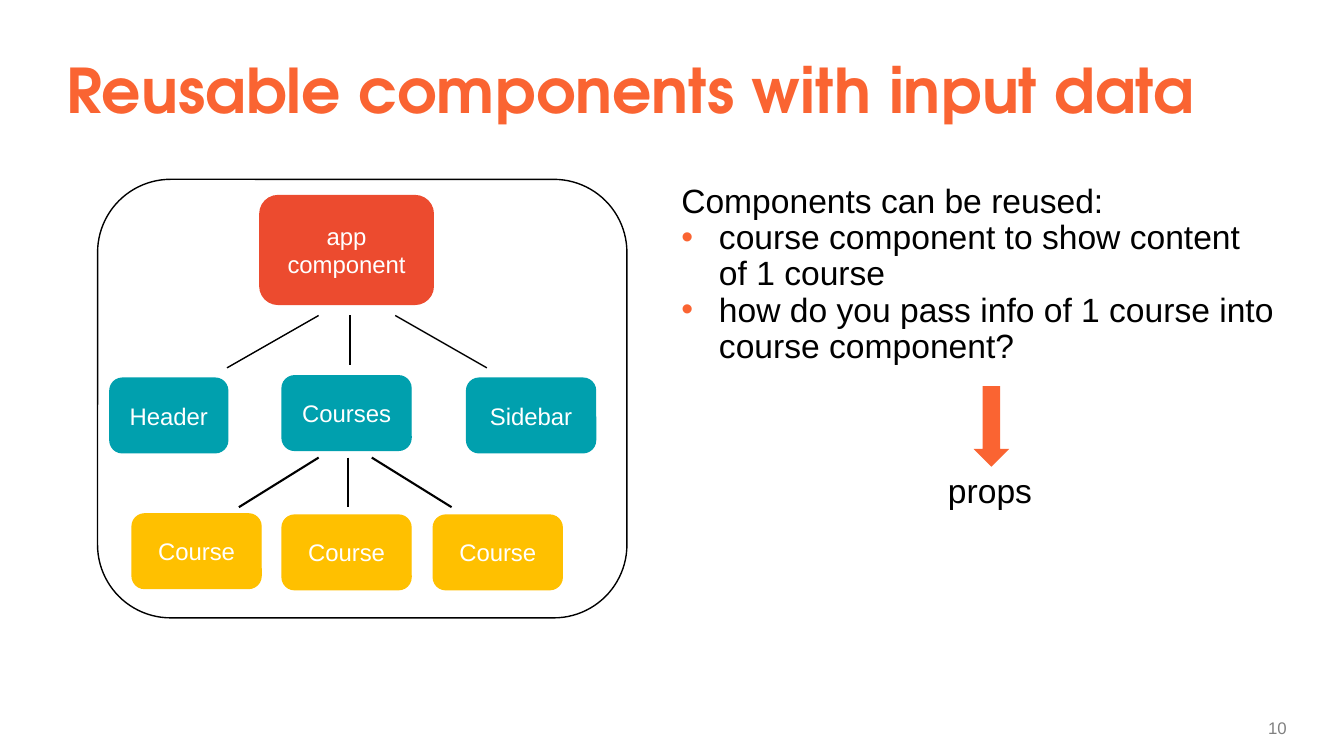
from lxml.etree import SubElement
from pptx import Presentation
from pptx.dml.color import RGBColor
from pptx.enum.shapes import MSO_CONNECTOR, MSO_SHAPE
from pptx.enum.text import MSO_ANCHOR, PP_ALIGN
from pptx.oxml.ns import qn
from pptx.util import Cm, Pt

ORANGE = RGBColor(0xFA, 0x64, 0x32)
RED = RGBColor(0xEC, 0x4B, 0x2F)
TEAL = RGBColor(0x00, 0xA0, 0xAE)
YELLOW = RGBColor(0xFF, 0xC0, 0x00)
GRAY = RGBColor(0x80, 0x80, 0x80)
BLACK = RGBColor(0x00, 0x00, 0x00)
WHITE = RGBColor(0xFF, 0xFF, 0xFF)


class SlideBuilder:
    title_font = "TeX Gyre Adventor"
    body_font = "Arial"
    bullet_indent = Cm(0.95)

    def __init__(self, page):
        self.page = page

    def style(self, para, size, color, name=body_font, bold=False):
        para.font.name = name
        para.font.size = Pt(size)
        para.font.bold = bold
        para.font.color.rgb = color

    def bullet(self, para):
        properties = para._p.get_or_add_pPr()
        properties.set("marL", str(self.bullet_indent))
        properties.set("indent", str(-self.bullet_indent))
        bullet_color = SubElement(properties, qn("a:buClr"))
        SubElement(bullet_color, qn("a:srgbClr"), val=str(ORANGE))
        SubElement(properties, qn("a:buFont"), typeface=self.body_font)
        SubElement(properties, qn("a:buChar"), char="•")

    def text(self, left, top, width, height, lines, size, color, name=body_font,
             bold=False, align=PP_ALIGN.LEFT, anchor=MSO_ANCHOR.TOP, spacing=0.9):
        """Each line is a pair: the wording and whether it has a bullet."""
        box = self.page.shapes.add_textbox(Cm(left), Cm(top), Cm(width), Cm(height))
        frame = box.text_frame
        frame.word_wrap = True
        frame.vertical_anchor = anchor
        for index, (wording, bulleted) in enumerate(lines):
            para = frame.add_paragraph() if index else frame.paragraphs[0]
            para.text = wording
            para.alignment = align
            para.line_spacing = spacing
            if bulleted:
                self.bullet(para)
            self.style(para, size, color, name, bold)
        return box

    def shape(self, kind, left, top, width, height, fill=None, line=None):
        box = self.page.shapes.add_shape(kind, Cm(left), Cm(top), Cm(width), Cm(height))
        box.shadow.inherit = False
        if fill is None:
            box.fill.background()
        else:
            box.fill.solid()
            box.fill.fore_color.rgb = fill
        if line is None:
            box.line.fill.background()
        else:
            box.line.color.rgb = line
            box.line.width = Pt(1)
        return box

    def component(self, label, left, top, color, width=3.25, height=1.88):
        box = self.shape(MSO_SHAPE.ROUNDED_RECTANGLE, left, top, width, height, color, color)
        box.text_frame.word_wrap = True
        box.text_frame.vertical_anchor = MSO_ANCHOR.MIDDLE
        para = box.text_frame.paragraphs[0]
        para.text = label
        para.alignment = PP_ALIGN.CENTER
        para.space_after = Pt(6)
        self.style(para, 17.1, WHITE)

    def branch(self, start_x, start_y, end_x, end_y, weight):
        line = self.page.shapes.add_connector(
            MSO_CONNECTOR.STRAIGHT, Cm(start_x), Cm(start_y), Cm(end_x), Cm(end_y))
        line.line.color.rgb = BLACK
        line.line.width = Pt(weight)
        SubElement(line._element.spPr, qn("a:effectLst"))


def main():
    deck = Presentation()
    deck.slide_width, deck.slide_height = Cm(33.87), Cm(19.05)
    builder = SlideBuilder(deck.slides.add_slide(deck.slide_layouts[6]))

    # Title and page number
    builder.text(1.42, 0.84, 30.99, 3.1, [("Reusable components with input data", False)],
                 44, ORANGE, builder.title_font, bold=True,
                 anchor=MSO_ANCHOR.MIDDLE, spacing=0.85)
    number = builder.text(30.73, 17.96, 1.7, 0.76, [("10", False)], 12, GRAY,
                          align=PP_ALIGN.RIGHT, anchor=MSO_ANCHOR.MIDDLE, spacing=1.0)
    number.text_frame.margin_right = 0

    # Explanation, with an arrow to the answer
    builder.text(16.92, 4.52, 15.49, 5, [
        ("Components can be reused:", False),
        ("course component to show content of 1 course", True),
        ("how do you pass info of 1 course into course component?", True),
    ], 24, BLACK)
    builder.shape(MSO_SHAPE.DOWN_ARROW, 24.54, 9.73, 0.89, 2.03, ORANGE)
    builder.text(23.2, 11.84, 3.5, 1.2, [("props", False)], 24, BLACK,
                 align=PP_ALIGN.CENTER)

    # Component tree
    builder.shape(MSO_SHAPE.ROUNDED_RECTANGLE, 2.46, 4.52, 13.34, 11.05, line=BLACK)
    builder.component("app component", 6.55, 4.93, RED, 4.37, 2.74)
    builder.component("Header", 2.77, 9.53, TEAL, width=2.97)
    builder.component("Courses", 7.11, 9.47, TEAL)
    builder.component("Sidebar", 11.76, 9.53, TEAL)
    for left, top in ((3.33, 12.95), (7.11, 12.98), (10.92, 12.98)):
        builder.component("Course", left, top, YELLOW)

    # Branches from the app to its parts, then from Courses to each Course
    for start_x, end_x, end_y, weight in (
            (8.03, 5.72, 9.27, 1), (8.81, 8.81, 9.19, 1.5), (9.96, 12.27, 9.27, 1)):
        builder.branch(start_x, 7.95, end_x, end_y, weight)
    for start_x, end_x in ((8.03, 6.02), (8.76, 8.76), (9.37, 11.38)):
        builder.branch(start_x, 11.53, end_x, 12.78, 1.5)

    deck.save("out.pptx")


if __name__ == "__main__":
    main()
